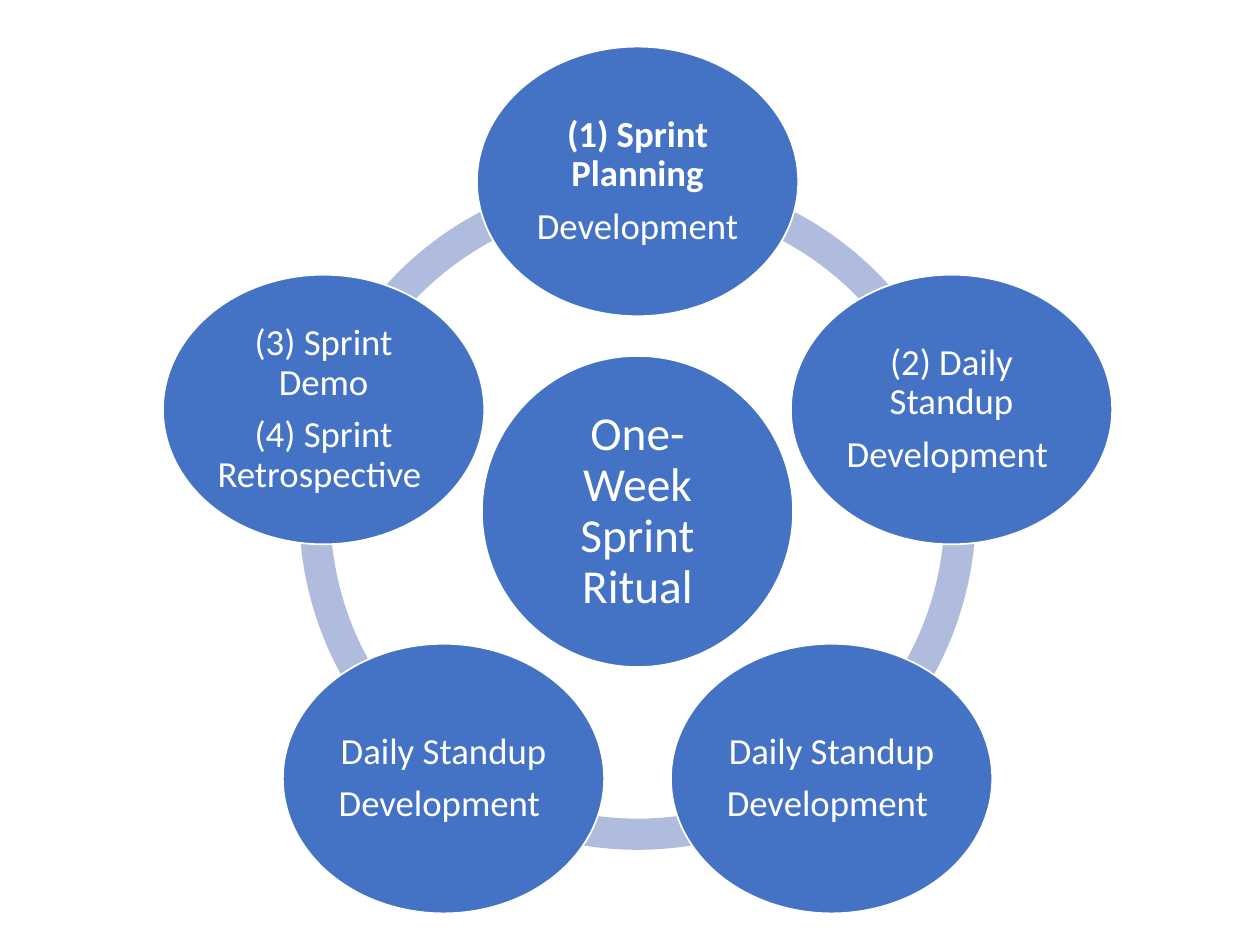
from dataclasses import dataclass
from math import cos, radians, sin

from pptx import Presentation
from pptx import util as u
from pptx.dml.color import RGBColor
from pptx.enum import shapes, text

# Content: clockwise from the top, (paragraph, bold)
HUB = [("One- Week Sprint Ritual", False)]
STEPS = [
    [("(1) Sprint Planning", True), ("Development", False)],
    [("(2) Daily Standup", False), ("Development ", False)],
    [("Daily Standup", False), ("Development ", False)],
    [("Daily Standup", False), ("Development ", False)],
    [("(3) Sprint Demo", False), ("(4) Sprint Retrospective ", False)],
]


@dataclass(frozen=True)
class Theme:
    font: str = "Calibri"
    node: RGBColor = RGBColor(0x44, 0x72, 0xC4)
    ring: RGBColor = RGBColor(0xB0, 0xBC, 0xDE)
    light: RGBColor = RGBColor(0xFF, 0xFF, 0xFF)
    hub_size: int = 27
    step_size: int = 21


T = Theme()

# Geometry in inches
CX, CY = 5.06, 4.06
ORBIT = 2.62
RING = 5.37
BAND = 0.046  # ring thickness as a share of its diameter
HUB_BOX = (2.47, 2.47)
STEP_BOX = (2.55, 2.14)
STEP_ANGLE = 360 / len(STEPS)


def add_centred(s, kind, x, y, w, h, fill):
    sp = s.shapes.add_shape(kind, u.Inches(x - w / 2), u.Inches(y - h / 2),
                            u.Inches(w), u.Inches(h))
    sp.shadow.inherit = False
    sp.fill.solid()
    sp.fill.fore_color.rgb = fill
    return sp


def add_arc(s, start):
    sp = add_centred(s, shapes.MSO_SHAPE.BLOCK_ARC, CX, CY, RING, RING, T.ring)
    sp.line.fill.background()
    # Angles are held in 1/60000 degree, adjustments in 1/100000
    for i, angle in enumerate((start, start + STEP_ANGLE)):
        sp.adjustments[i] = angle % 360 * 0.6
    sp.adjustments[2] = BAND


def add_node(s, x, y, box, paragraphs, size, inset):
    sp = add_centred(s, shapes.MSO_SHAPE.OVAL, x, y, *box, T.node)
    sp.line.color.rgb = T.light
    sp.line.width = u.Pt(1)
    tf = sp.text_frame
    tf.word_wrap = True
    tf.vertical_anchor = text.MSO_ANCHOR.MIDDLE
    tf.margin_left = tf.margin_right = u.Inches(inset)
    tf.margin_top = tf.margin_bottom = u.Inches(inset)
    for i, (words, bold) in enumerate(paragraphs):
        p = tf.add_paragraph() if i else tf.paragraphs[0]
        p.text = words
        p.alignment = text.PP_ALIGN.CENTER
        p.line_spacing = 0.9
        p.space_after = u.Pt(size * 0.35)
        p.font.name = T.font
        p.font.size = u.Pt(size)
        p.font.bold = bold
        p.font.color.rgb = T.light


def main():
    prs = Presentation()
    prs.slide_width, prs.slide_height = u.Inches(10), u.Inches(7.5)
    s = prs.slides.add_slide(prs.slide_layouts[6])
    angles = [i * STEP_ANGLE - 90 for i in range(len(STEPS))]

    # Ring behind the nodes
    for angle in angles:
        add_arc(s, angle)

    # Hub, then the steps around it
    add_node(s, CX, CY, HUB_BOX, HUB, T.hub_size, 0.04)
    for angle, step in zip(angles, STEPS):
        a = radians(angle)
        add_node(s, CX + ORBIT * cos(a), CY + ORBIT * sin(a),
                 STEP_BOX, step, T.step_size, 0.03)

    prs.save("out.pptx")


if __name__ == "__main__":
    main()
